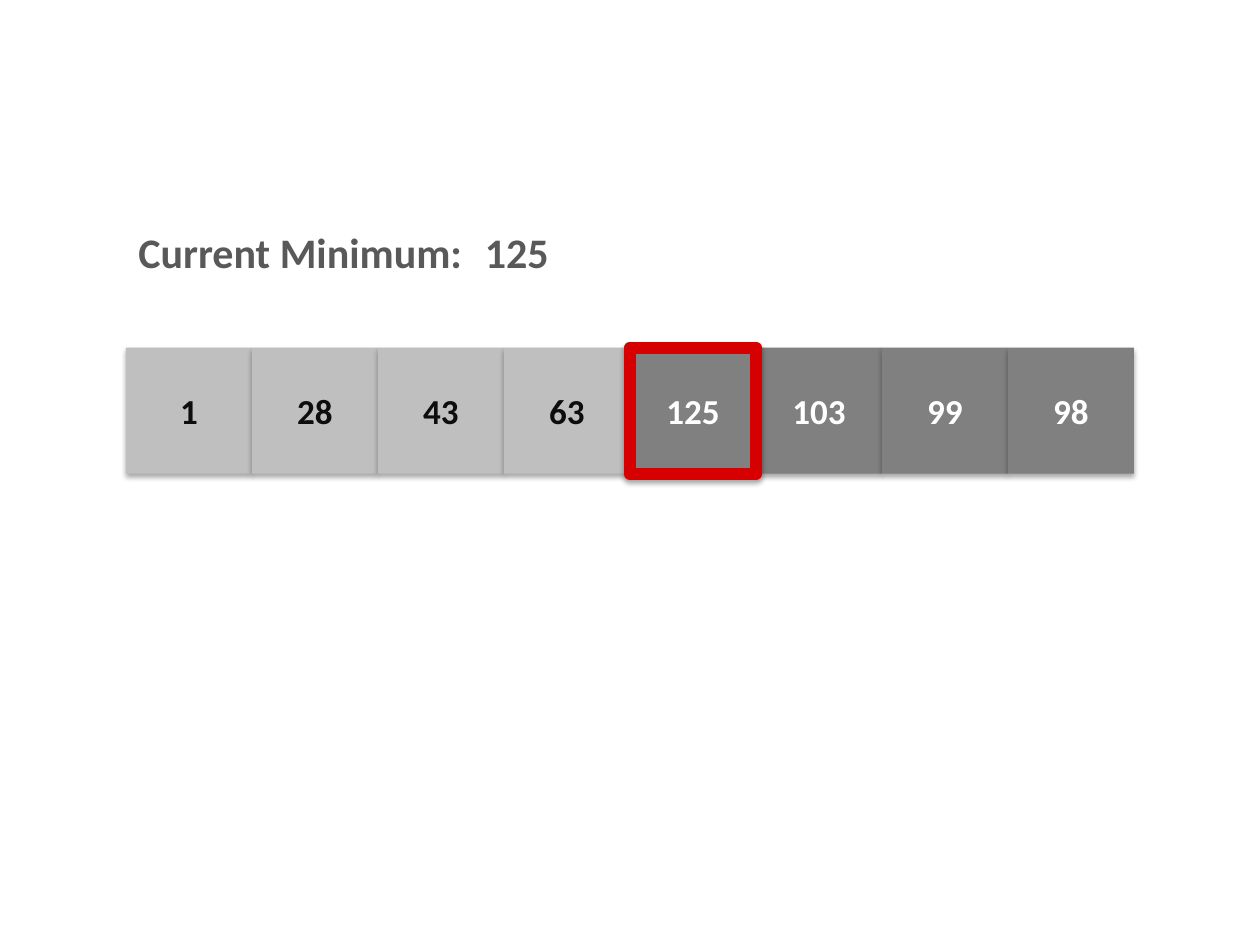
import pptx
import pptx.util
import pptx.dml.color
import pptx.enum.shapes
import pptx.enum.text
import pptx.oxml
import pptx.oxml.ns

Pt = pptx.util.Pt
ALIGN = pptx.enum.text.PP_ALIGN
SHADOW = (
    f'<a:effectLst {pptx.oxml.ns.nsdecls("a")}>'
    '<a:outerShdw blurRad="40000" dist="23000" dir="5400000" rotWithShape="0">'
    '<a:srgbClr val="000000"><a:alpha val="35000"/></a:srgbClr>'
    '</a:outerShdw></a:effectLst>'
)


def paint(form, color):
    if hasattr(form, "solid"):
        form.solid()
        form = form.fore_color
    form.rgb = pptx.dml.color.RGBColor.from_string(color)


def write(frame, text, size, color, align):
    para = frame.paragraphs[0]
    para.alignment = align
    run = para.add_run()
    run.text = text
    run.font.name = "Calibri"
    run.font.size = Pt(size)
    run.font.bold = True
    paint(run.font.color, color)


deck = pptx.Presentation()
deck.slide_width, deck.slide_height = Pt(720), Pt(540)
slide = deck.slides.add_slide(deck.slide_layouts[6])

# Array cells: sorted ones are light, the current one is drawn last
values = [1, 28, 43, 63, 125, 103, 99, 98]
sorted_count = 4
current = 4
side = 72
for index in sorted(range(len(values)), key=lambda i: i == current):
    cell = slide.shapes.add_shape(
        pptx.enum.shapes.MSO_SHAPE.RECTANGLE,
        Pt(side * (index + 1)), Pt(198.72), Pt(side), Pt(side))
    done = index < sorted_count
    paint(cell.fill, "BFBFBF" if done else "808080")
    if index == current:
        paint(cell.line.fill, "D60000")
        cell.line.width = Pt(7)
    else:
        cell.line.fill.background()
    cell.shadow.inherit = False
    blank = cell._element.spPr.find(pptx.oxml.ns.qn("a:effectLst"))
    cell._element.spPr.replace(blank, pptx.oxml.parse_xml(SHADOW))
    cell.text_frame.vertical_anchor = pptx.enum.text.MSO_ANCHOR.MIDDLE
    write(cell.text_frame, str(values[index]), 20,
          "0D0D0D" if done else "FFFFFF", ALIGN.CENTER)

# Label and its value
for text, left, width in [("Current Minimum:", 72, 216),
                          (str(values[current]), 270, 72)]:
    box = slide.shapes.add_textbox(Pt(left), Pt(126), Pt(width), Pt(36))
    box.text_frame.word_wrap = True
    box.text_frame.auto_size = pptx.enum.text.MSO_AUTO_SIZE.SHAPE_TO_FIT_TEXT
    write(box.text_frame, text, 24, "595959", ALIGN.LEFT)

deck.save("out.pptx")
